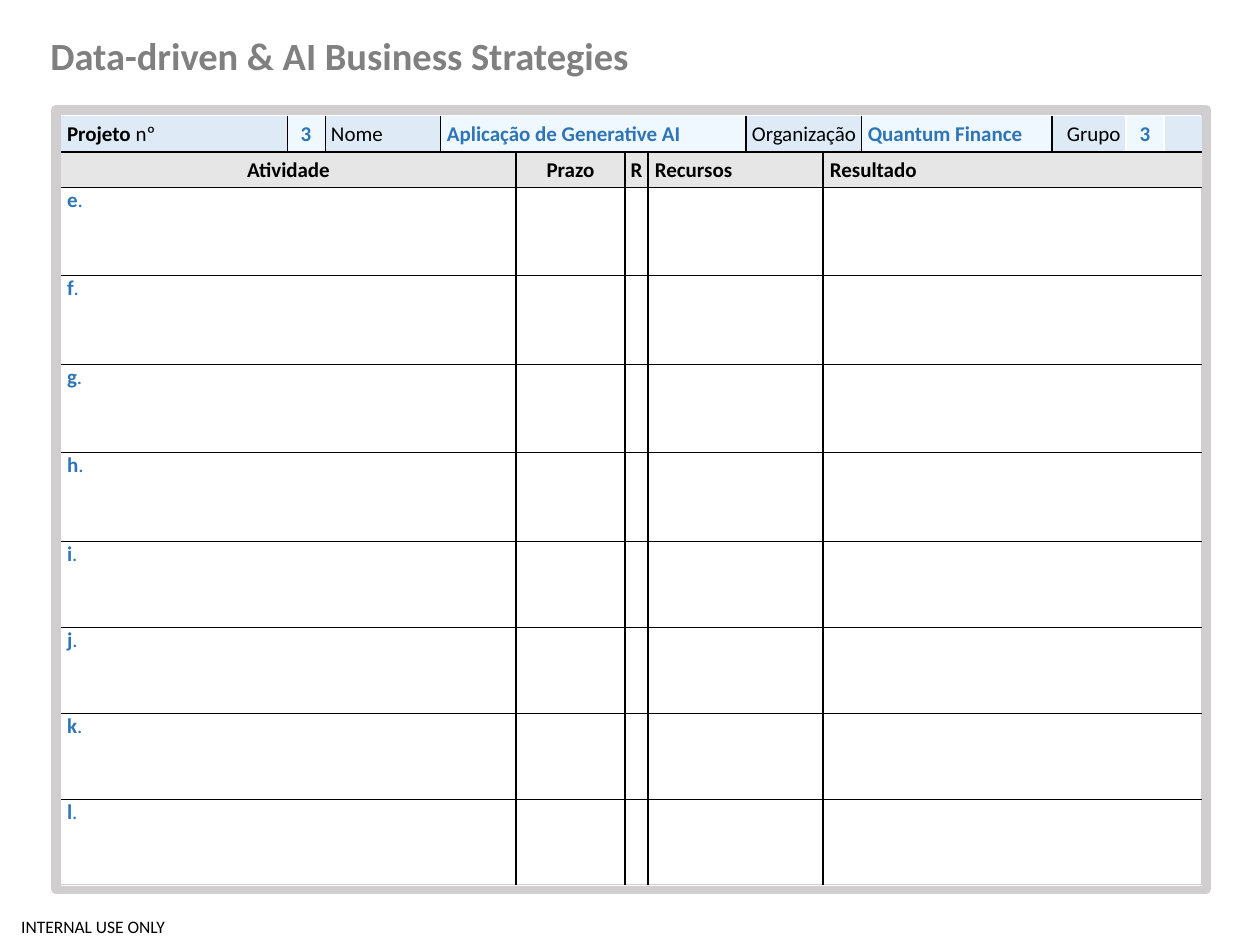
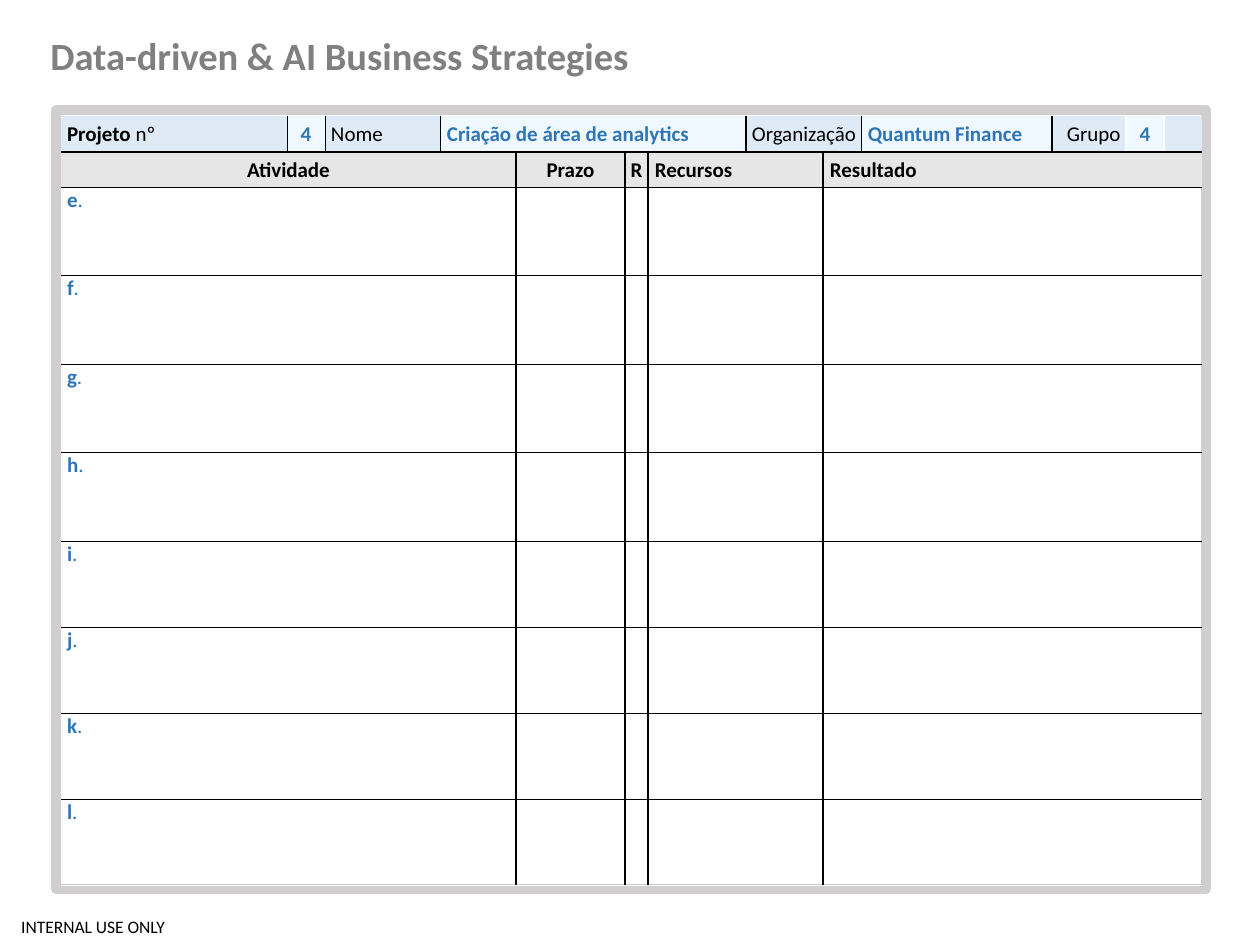
from lxml.etree import SubElement
from pptx import Presentation
from pptx.dml.color import RGBColor
from pptx.enum.shapes import MSO_SHAPE as SHAPE
from pptx.enum.text import MSO_ANCHOR as ANCHOR, PP_ALIGN as ALIGN
from pptx.oxml.ns import qn
from pptx.util import Emu, Pt

# Colours
BLACK = RGBColor(0x00, 0x00, 0x00)
WHITE = RGBColor(0xFF, 0xFF, 0xFF)
TITLE_GREY = RGBColor(0x80, 0x80, 0x80)
FRAME_GREY = RGBColor(0xD0, 0xCE, 0xCE)
HEAD_GREY = RGBColor(0xE7, 0xE6, 0xE6)
LABEL_BLUE = RGBColor(0xDE, 0xEB, 0xF7)
VALUE_BLUE = RGBColor(0xEF, 0xF7, 0xFF)
TEXT_BLUE = RGBColor(0x2E, 0x75, 0xB6)

# Cell borders: colour and width in points
THICK = (BLACK, 1)
THIN = (BLACK, 0.25)
WHITE_THICK = (WHITE, 1)
WHITE_THIN = (WHITE, 0.25)

# Table grid in px
COLS = [226, 38, 115, 76, 109, 23, 98, 77, 38, 191, 74, 38, 38]
ROWS = [36, 35, 88, 89, 88, 89, 86, 86, 86, 86]

# Activity columns: heading, first grid column, span, alignment
ACTIVITY_COLS = [
    ("Atividade", 0, 4, ALIGN.CENTER),
    ("Prazo", 4, 1, ALIGN.CENTER),
    ("R", 5, 1, ALIGN.CENTER),
    ("Recursos", 6, 2, ALIGN.LEFT),
    ("Resultado", 8, 5, ALIGN.LEFT),
]
LETTERS = "efghijkl"

PROJECTS = [
    ("3", "Aplicação de Generative AI", "Quantum Finance"),
    ("4", "Criação de área de analytics", "Quantum Finance"),
]


def px(n):
    return Emu(round(n * 914400 / 126))


class Deck:
    font = "Calibri"

    def __init__(self):
        self.prs = Presentation()
        self.prs.slide_width, self.prs.slide_height = px(1260), px(945)
        self.s = None

    def new_slide(self):
        self.s = self.prs.slides.add_slide(self.prs.slide_layouts[6])

    def put_runs(self, p, parts, size, color):
        """Fill a paragraph with (text, bold) parts."""
        p.text = parts[0][0]
        for text, _ in parts[1:]:
            p.add_run().text = text
        for r, (_, bold) in zip(p.runs, parts):
            r.font.name, r.font.size, r.font.bold = self.font, Pt(size), bold
            r.font.color.rgb = color

    def text(self, box, text, size, color, bold=False):
        tf = self.s.shapes.add_textbox(*map(px, box)).text_frame
        tf.word_wrap = True
        self.put_runs(tf.paragraphs[0], [(text, bold)], size, color)
        return tf

    def frame(self, box, color, width):
        sp = self.s.shapes.add_shape(SHAPE.RECTANGLE, *map(px, box))
        sp.shadow.inherit = False
        sp.fill.background()
        sp.line.color.rgb, sp.line.width = color, Pt(width)

    def table(self, left, top, cols, rows):
        gf = self.s.shapes.add_table(len(rows), len(cols), px(left), px(top),
                                     px(sum(cols)), px(sum(rows)))
        table = gf.table
        table.first_row = table.horz_banding = False
        for col, width in zip(table.columns, cols):
            col.width = px(width)
        for row, height in zip(table.rows, rows):
            row.height = px(height)
        for cell in table.iter_cells():
            cell.margin_left = cell.margin_top = cell.margin_right = px(1)
            cell.margin_bottom = 0
            # Keeps empty cells from growing their row
            p = cell.text_frame.paragraphs[0]
            SubElement(p._p, qn("a:endParaRPr"), sz="1200")
        return table

    def borders(self, cell, left, right, top, bottom):
        tc_pr = cell._tc.get_or_add_tcPr()
        for side, border in zip("LRTB", (left, right, top, bottom)):
            ln = SubElement(tc_pr, qn("a:ln" + side))
            if border is None:
                SubElement(ln, qn("a:noFill"))
                continue
            color, width = border
            ln.set("w", str(Pt(width)))
            fill = SubElement(ln, qn("a:solidFill"))
            SubElement(fill, qn("a:srgbClr"), val=str(color))

    def cell(self, table, row, col, span, lines, fill=None, parts=None,
             color=BLACK, indent=0, align=ALIGN.LEFT, anchor=ANCHOR.MIDDLE):
        cell = table.cell(row, col)
        if span > 1:
            cell.merge(table.cell(row, col + span - 1))
        for c in range(col, col + span):
            part = table.cell(row, c)
            self.borders(part, *lines)
            if fill is None:
                part.fill.background()
            else:
                part.fill.solid()
                part.fill.fore_color.rgb = fill
        cell.vertical_anchor = anchor
        if parts:
            p = cell.text_frame.paragraphs[0]
            self.put_runs(p, parts, 12, color)
            p.alignment = align
            if indent:
                p._p.get_or_add_pPr().set("marL", str(px(indent)))

    def background(self):
        """Footer, frame and title found on every slide."""
        tf = self.text((0, 908, 186, 37), "INTERNAL USE ONLY", 10, BLACK)
        tf.margin_left = tf.margin_right = tf.margin_top = tf.margin_bottom = 0
        tf.vertical_anchor = ANCHOR.MIDDLE
        tf.paragraphs[0].alignment = ALIGN.CENTER
        self.frame((56, 110, 1150, 779), FRAME_GREY, 6)
        tf = self.text((38, 26, 627, 59), "Data-driven & AI Business Strategies",
                       22, TITLE_GREY, True)
        tf.paragraphs[0].space_after = Pt(2)

    def project_row(self, table, number, name, organization):
        # Column, span, left border, right border, text parts, indent
        labels = [
            (0, 1, None, THIN, [("Projeto ", True), ("nº", False)], 5),
            (2, 1, THIN, THIN, [("Nome", False)], 5),
            (7, 2, THICK, THIN, [("Organização", False)], 5),
            (10, 1, THICK, WHITE_THICK, [("Grupo", False)], 14),
            (12, 1, WHITE_THICK, None, None, 0),
        ]
        for col, span, left, right, parts, indent in labels:
            self.cell(table, 0, col, span, (left, right, None, THICK),
                      LABEL_BLUE, parts, indent=indent)
        # Column, span, left border, right border, text, indent
        values = [
            (1, 1, THIN, THIN, number, 0),
            (3, 4, THIN, THICK, name, 6),
            (9, 1, THIN, THICK, organization, 6),
            (11, 1, WHITE_THICK, WHITE_THICK, number, 0),
        ]
        for col, span, left, right, text, indent in values:
            self.cell(table, 0, col, span, (left, right, None, THICK),
                      VALUE_BLUE, [(text, True)], TEXT_BLUE, indent,
                      ALIGN.LEFT if indent else ALIGN.CENTER)

    def activity_rows(self, table):
        last_col, last_row = len(ACTIVITY_COLS) - 1, len(ROWS) - 1
        for i, (heading, col, span, align) in enumerate(ACTIVITY_COLS):
            left = THICK if i else None
            right = THICK if i < last_col else None
            self.cell(table, 1, col, span, (left, right, THICK, THIN), HEAD_GREY,
                      [(heading, True)], align=align,
                      indent=6 if align == ALIGN.LEFT else 0)
            for row, letter in enumerate(LETTERS, 2):
                bottom = WHITE_THIN if row == last_row else THIN
                parts = None if i else [(letter, True), (".", False)]
                self.cell(table, row, col, span, (left, right, THIN, bottom),
                          parts=parts, color=TEXT_BLUE, indent=5,
                          anchor=ANCHOR.TOP)


def main():
    deck = Deck()
    for project in PROJECTS:
        deck.new_slide()
        deck.background()
        table = deck.table(61, 116, COLS, ROWS)
        deck.project_row(table, *project)
        deck.activity_rows(table)
    deck.prs.save("out.pptx")


if __name__ == "__main__":
    main()
